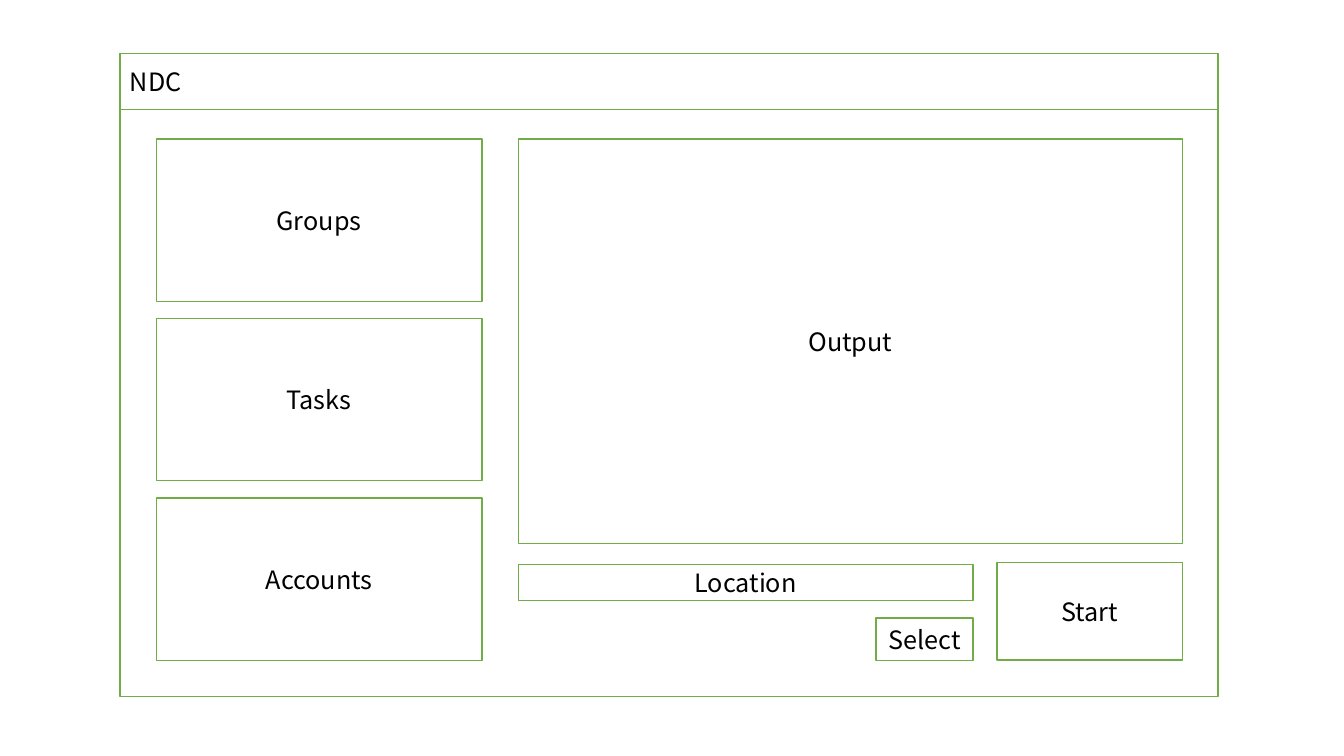
from pptx import Presentation
from pptx.dml.color import RGBColor
from pptx.enum.shapes import MSO_SHAPE
from pptx.enum.text import MSO_ANCHOR, PP_ALIGN
from pptx.util import Inches, Pt

COLORS = {"fill": "FFFFFF", "line": "70AD47", "text": "000000"}
FONT = "Noto Sans CJK SC"
TITLE = "NDC"
MENU = ["Groups", "Tasks", "Accounts"]
PANELS = [
    ("Output", 5.14, 1.38, 6.59, 4.01),
    ("Start", 9.89, 5.58, 1.84, 0.97),
    ("Location", 5.14, 5.6, 4.51, 0.36),
    ("Select", 8.69, 6.13, 0.96, 0.42),
]
LEFT, TOP, WIDTH, HEIGHT, BAR = 1.19, 0.53, 10.89, 6.38, 0.56
MENU_X, MENU_Y, MENU_W, MENU_H, STEP = 1.55, 1.38, 3.23, 1.61, 1.78


def color(name):
    return RGBColor.from_string(COLORS[name])


def add_box(slide, text, x, y, w, h, align=PP_ALIGN.CENTER):
    box = slide.shapes.add_shape(
        MSO_SHAPE.RECTANGLE, Inches(x), Inches(y), Inches(w), Inches(h))
    box.shadow.inherit = False
    box.fill.solid()
    box.fill.fore_color.rgb = color("fill")
    box.line.color.rgb = color("line")
    box.line.width = Pt(1)
    if not text:
        return
    frame = box.text_frame
    frame.word_wrap = True
    frame.vertical_anchor = MSO_ANCHOR.MIDDLE
    para = frame.paragraphs[0]
    para.alignment = align
    run = para.add_run()
    run.text = text
    run.font.name = FONT
    run.font.size = Pt(18)
    run.font.color.rgb = color("text")


def main():
    deck = Presentation()
    deck.slide_width = Inches(13.33)
    deck.slide_height = Inches(7.5)
    slide = deck.slides.add_slide(deck.slide_layouts[6])
    add_box(slide, "", LEFT, TOP, WIDTH, HEIGHT)
    add_box(slide, TITLE, LEFT, TOP, WIDTH, BAR, PP_ALIGN.LEFT)
    for row, text in enumerate(MENU):
        add_box(slide, text, MENU_X, MENU_Y + row * STEP, MENU_W, MENU_H)
    for panel in PANELS:
        add_box(slide, *panel)
    deck.save("out.pptx")


if __name__ == "__main__":
    main()
